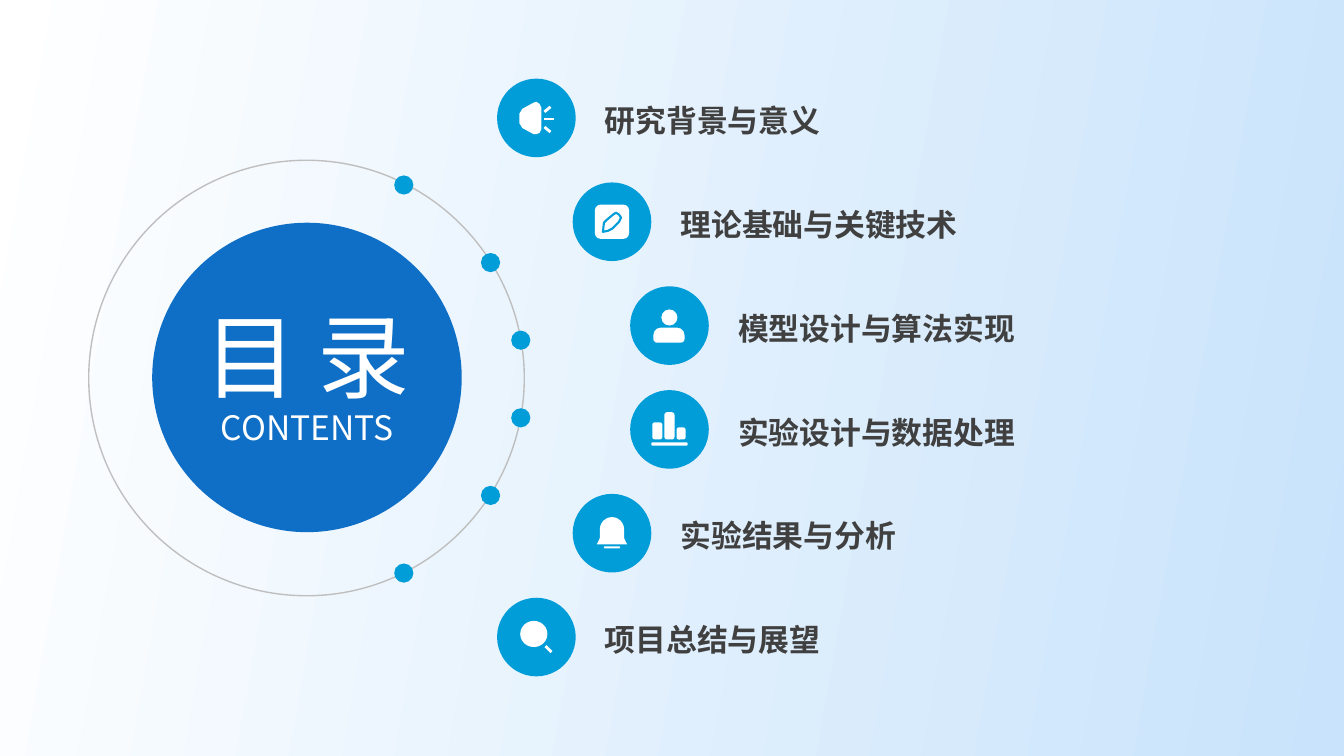
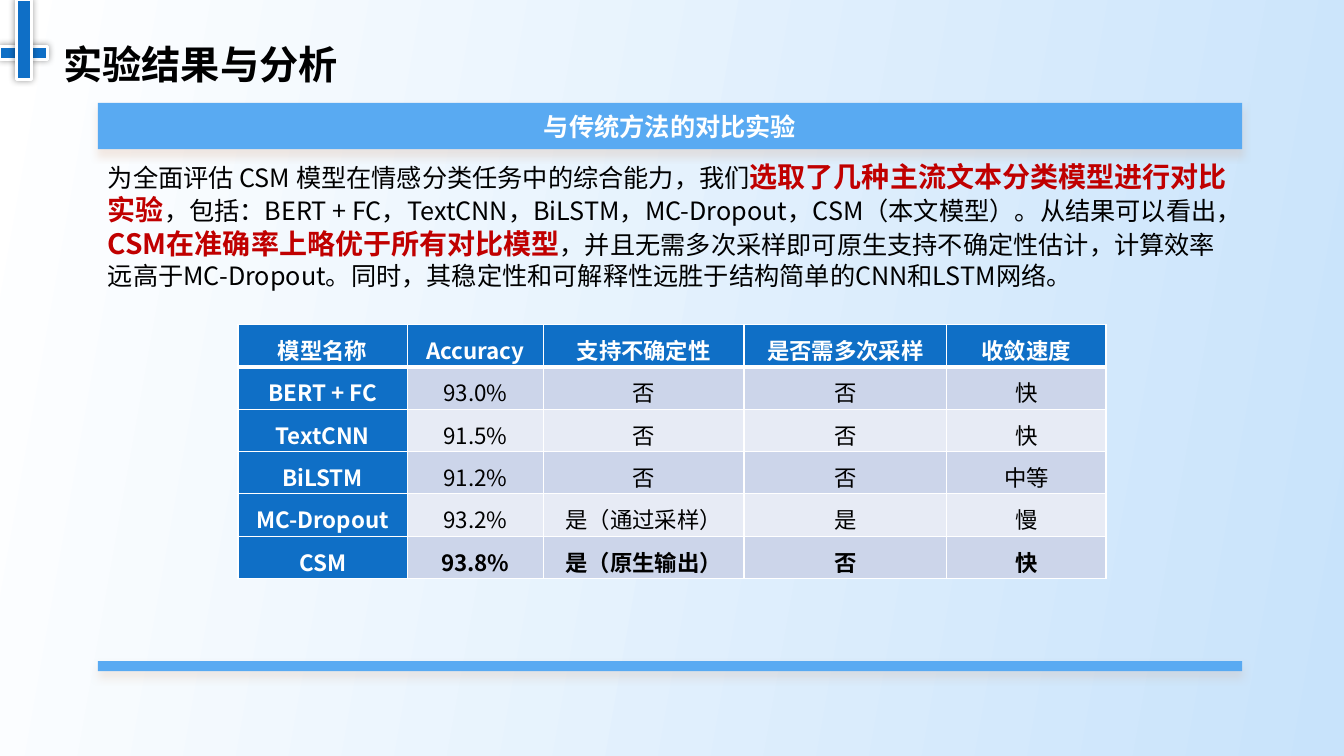
"""Build a contents slide and an experiment results slide."""
from lxml import etree
from pptx import Presentation
from pptx.dml.color import RGBColor
from pptx.enum.shapes import MSO_CONNECTOR, MSO_SHAPE as SHAPE
from pptx.enum.text import MSO_ANCHOR as ANCHOR, MSO_AUTO_SIZE, PP_ALIGN as ALIGN
from pptx.oxml.ns import qn
from pptx.util import Inches, Pt

FONT = "Noto Sans CJK SC"
COLORS = {
    "white": "FFFFFF", "black": "000000", "sky": "C8E3FB", "blue": "0F6FC6",
    "cyan": "009DD9", "band": "59AAF2", "ring": "BFBFBF", "label": "404040",
    "red": "C00000", "band shadow": "CD9673", "odd row": "CCD5EA", "even row": "E7EBF5",
}
STYLES = {
    "contents": {"size": Pt(66), "bold": False},
    "subtitle": {"size": Pt(24), "bold": False},
    "title": {"size": Pt(28), "bold": True},
    "topic": {"size": Pt(22), "bold": True},
    "banner": {"size": Pt(18), "bold": True},
    "body": {"size": Pt(18), "bold": False},
    "key": {"size": Pt(20), "bold": True},
    "cell": {"size": Pt(16), "bold": False},
    "strong cell": {"size": Pt(16), "bold": True},
}
NO_INSETS = {"margin_left": 0, "margin_top": 0, "margin_right": 0, "margin_bottom": 0}
CENTERED = {"alignment": ALIGN.CENTER}
BAND_SHADOW = ("band shadow", 20, 6, 4, 90)
CROSS_SHADOW = ("black", 40, 5, 0, 0)
BAND_LEFT, BAND_WIDTH = 0.97, 11.35
ICON_SIZE, DOT_SIZE = 0.78, 0.19

SUMMARY = [
    ("为全面评估 CSM 模型在情感分类任务中的综合能力，我们", "body", "black"),
    ("选取了几种主流文本分类模型进行对比实验", "key", "red"),
    ("，包括：BERT + FC，TextCNN，BiLSTM，MC-Dropout，CSM（本文模型）。从结果可以看出，",
     "body", "black"),
    ("CSM在准确率上略优于所有对比模型", "key", "red"),
    ("，并且无需多次采样即可原生支持不确定性估计，计算效率远高于MC-Dropout。"
     "同时，其稳定性和可解释性远胜于结构简单的CNN和LSTM网络。", "body", "black"),
]
RESULTS = [
    ("模型名称", "Accuracy", "支持不确定性", "是否需多次采样", "收敛速度"),
    ("BERT + FC", "93.0%", "否", "否", "快"),
    ("TextCNN", "91.5%", "否", "否", "快"),
    ("BiLSTM", "91.2%", "否", "否", "中等"),
    ("MC-Dropout", "93.2%", "是（通过采样）", "是", "慢"),
    ("CSM", "93.8%", "是（原生输出）", "否", "快"),
]
COLUMN_WIDTHS = (1.68, 1.35, 1.99, 2.01, 1.58)
ROW_HEIGHT = 0.42


def rgb(color):
    """Return the named colour."""
    return RGBColor.from_string(COLORS[color])


def apply(target, formats):
    """Set each attribute of the target from a dict."""
    for attribute, value in formats.items():
        setattr(target, attribute, value)


def place(shape, box):
    """Move and size a shape by a box in inches."""
    apply(shape, dict(zip(("left", "top", "width", "height"), map(Inches, box))))


def write(frame, runs, paragraph_format=None, frame_format=None):
    """Write one paragraph of (text, style, colour) runs into a frame."""
    apply(frame, {"word_wrap": True, **(frame_format or {})})
    paragraph = frame.paragraphs[0]
    apply(paragraph, paragraph_format or {})
    for text, style, color in runs:
        run = paragraph.add_run()
        run.text = text
        apply(run.font, {"name": FONT, **STYLES[style]})
        run.font.color.rgb = rgb(color)
        etree.SubElement(run._r.get_or_add_rPr(), qn("a:ea"), typeface=FONT)


def add_shadow(shape, color, alpha, blur, distance, angle):
    """Give a shape an outer shadow."""
    effects = shape._element.spPr.find(qn("a:effectLst"))
    shadow = etree.SubElement(
        effects, qn("a:outerShdw"), blurRad=str(Pt(blur)), dist=str(Pt(distance)),
        dir=str(angle * 60000), algn="ctr", rotWithShape="0")
    tint = etree.SubElement(shadow, qn("a:srgbClr"), val=COLORS[color])
    etree.SubElement(tint, qn("a:alpha"), val=str(alpha * 1000))


def paint(shape, fill, line, weight):
    """Set fill and line of a shape, without its default shadow."""
    shape.shadow.inherit = False
    for part, color in ((shape.fill, fill), (shape.line.fill, line)):
        if color:
            part.solid()
            part.fore_color.rgb = rgb(color)
        else:
            part.background()
    if line:
        shape.line.width = Pt(weight)


def add_block(slide, preset, box, fill="white", line=None, weight=1, shadow=None, adjust=()):
    """Add a preset shape."""
    block = slide.shapes.add_shape(preset, *map(Inches, box))
    paint(block, fill, line, weight)
    for index, value in enumerate(adjust):
        block.adjustments[index] = value
    if shadow:
        add_shadow(block, *shadow)
    return block


def add_outline(slide, x, y, points, line=None, weight=1):
    """Add a white closed polygon with points relative to x and y."""
    corners = [(Inches(x + dx), Inches(y + dy)) for dx, dy in points]
    builder = slide.shapes.build_freeform(*corners[0])
    builder.add_line_segments(corners[1:], close=True)
    paint(builder.convert_to_shape(), "white", line, weight)


def add_stroke(slide, x, y, start, end):
    """Add a short white line relative to x and y."""
    ends = (x + start[0], y + start[1], x + end[0], y + end[1])
    stroke = slide.shapes.add_connector(MSO_CONNECTOR.STRAIGHT, *map(Inches, ends))
    stroke.line.color.rgb = rgb("white")
    stroke.line.width = Pt(2)
    etree.SubElement(stroke._element.spPr, qn("a:effectLst"))


def add_parts(slide, x, y, parts):
    """Add white icon parts given as preset, relative box and adjustments."""
    for preset, (dx, dy, width, height), adjust in parts:
        add_block(slide, preset, (x + dx, y + dy, width, height), adjust=adjust)


def add_text(slide, box, runs, paragraph_format, frame_format):
    """Add a text box without insets."""
    frame = slide.shapes.add_textbox(*map(Inches, box)).text_frame
    write(frame, runs, paragraph_format, {**NO_INSETS, **frame_format})


def add_title(slide, box, run, paragraph_format):
    """Place and write the title in front of what is already drawn."""
    title = slide.shapes.title
    place(title, box)
    title._element.getparent().append(title._element)
    write(title.text_frame, [run], paragraph_format,
          {**NO_INSETS, "vertical_anchor": ANCHOR.TOP, "auto_size": MSO_AUTO_SIZE.NONE})


def draw_megaphone(slide, x, y):
    """Draw a megaphone with three sound lines."""
    add_outline(slide, x, y, [
        (0.22, 0.35), (0.25, 0.3), (0.36, 0.24), (0.39, 0.23), (0.42, 0.25), (0.44, 0.29),
        (0.44, 0.5), (0.42, 0.54), (0.39, 0.55), (0.36, 0.55), (0.25, 0.49), (0.22, 0.44)])
    for start, end in (((0.47, 0.33), (0.53, 0.28)), ((0.47, 0.4), (0.56, 0.4)),
                       ((0.47, 0.48), (0.53, 0.53))):
        add_stroke(slide, x, y, start, end)


def draw_note(slide, x, y):
    """Draw a note with a pen."""
    add_parts(slide, x, y, [(SHAPE.ROUNDED_RECTANGLE, (0.22, 0.22, 0.34, 0.34), [0.17])])
    add_outline(slide, x, y, [
        (0.3, 0.49), (0.31, 0.4), (0.34, 0.37), (0.4, 0.32), (0.43, 0.3), (0.46, 0.32),
        (0.48, 0.35), (0.46, 0.39), (0.39, 0.46), (0.35, 0.48)], "cyan", 1.5)


def draw_person(slide, x, y):
    """Draw a head and shoulders."""
    add_parts(slide, x, y, [
        (SHAPE.OVAL, (0.31, 0.23, 0.16, 0.16), []),
        (SHAPE.ROUND_2_SAME_RECTANGLE, (0.23, 0.41, 0.31, 0.15), [0.5, 0.25])])


def draw_bars(slide, x, y):
    """Draw three bars on a base line."""
    boxes = ((0.21, 0.52, 0.36, 0.03), (0.22, 0.32, 0.1, 0.17),
             (0.34, 0.22, 0.1, 0.27), (0.46, 0.37, 0.09, 0.12))
    add_parts(slide, x, y, [(SHAPE.ROUNDED_RECTANGLE, box, [0.25]) for box in boxes])


def draw_bell(slide, x, y):
    """Draw a bell."""
    add_parts(slide, x, y, [
        (SHAPE.ROUND_2_SAME_RECTANGLE, (0.27, 0.23, 0.24, 0.25), [0.5, 0]),
        (SHAPE.TRAPEZOID, (0.24, 0.44, 0.3, 0.06), [0.5]),
        (SHAPE.ROUNDED_RECTANGLE, (0.31, 0.52, 0.16, 0.02), [0.5])])


def draw_magnifier(slide, x, y):
    """Draw a magnifier."""
    add_parts(slide, x, y, [(SHAPE.OVAL, (0.23, 0.23, 0.27, 0.26), [])])
    add_stroke(slide, x, y, (0.48, 0.48), (0.54, 0.54))


TOPICS = [
    ("研究背景与意义", draw_megaphone, 4.93, 3.91),
    ("理论基础与关键技术", draw_note, 5.68, 4.77),
    ("模型设计与算法实现", draw_person, 6.25, 5.07),
    ("实验设计与数据处理", draw_bars, 6.25, 5.07),
    ("实验结果与分析", draw_bell, 5.68, 4.77),
    ("项目总结与展望", draw_magnifier, 4.93, 3.91),
]


def add_topic(slide, index, topic, draw_icon, icon_x, dot_x):
    """Add one topic with its icon, label and dot on the ring."""
    icon_y = 0.78 + 1.03 * index
    add_block(slide, SHAPE.OVAL, (icon_x, icon_y, ICON_SIZE, ICON_SIZE), "cyan")
    draw_icon(slide, icon_x, icon_y)
    add_text(slide, (icon_x + 1.07, icon_y - 0.04, 5.12, 0.87), [(topic, "topic", "label")],
             {"line_spacing": 1.1}, {"vertical_anchor": ANCHOR.MIDDLE})
    add_block(slide, SHAPE.OVAL, (dot_x, 1.74 + 0.77 * index, DOT_SIZE, DOT_SIZE), "cyan")


def set_border(cell, side, weight):
    """Draw one white border of a cell."""
    border = etree.SubElement(cell._tc.get_or_add_tcPr(), qn(f"a:ln{side}"), w=str(Pt(weight)))
    fill = etree.SubElement(border, qn("a:solidFill"))
    etree.SubElement(fill, qn("a:srgbClr"), val=COLORS["white"])


def format_cell(cell, text, row, column):
    """Write and colour one cell of the results table."""
    heading = row == 0 or column == 0
    strong = heading or row == len(RESULTS) - 1
    for side in "LRTB":
        set_border(cell, side, 3 if (row, side) in ((0, "B"), (1, "T")) else 1)
    cell.fill.solid()
    cell.fill.fore_color.rgb = rgb("blue" if heading else "odd row" if row % 2 else "even row")
    apply(cell, {"margin_left": Inches(0.07), "margin_right": Inches(0.07), "margin_top": 0,
                 "margin_bottom": 0, "vertical_anchor": ANCHOR.MIDDLE})
    run = (text, "strong cell" if strong else "cell", "white" if heading else "black")
    write(cell.text_frame, [run], {**CENTERED, "line_spacing": 1.25})


def add_results(slide, left, top):
    """Add the table that compares the models."""
    size = (sum(COLUMN_WIDTHS), ROW_HEIGHT * len(RESULTS))
    table = slide.shapes.add_table(
        len(RESULTS), len(COLUMN_WIDTHS), *map(Inches, (left, top, *size))).table
    for column, width in zip(table.columns, COLUMN_WIDTHS):
        column.width = Inches(width)
    for row, texts in enumerate(RESULTS):
        for column, text in enumerate(texts):
            format_cell(table.cell(row, column), text, row, column)


def add_summary(slide):
    """Fill the body placeholder with the unbulleted summary."""
    body = slide.placeholders[1]
    place(body, (BAND_LEFT, 1.53, BAND_WIDTH, 1.41))
    properties = body.text_frame.paragraphs[0]._p.get_or_add_pPr()
    properties.set("marL", "0")
    properties.set("indent", "0")
    etree.SubElement(properties, qn("a:buNone"))
    write(body.text_frame, SUMMARY, {"space_before": Pt(0)}, {"auto_size": MSO_AUTO_SIZE.NONE})


def set_background(master):
    """Give all slides the white to sky gradient."""
    fill = master.background.fill
    fill.gradient()
    fill.gradient_angle = 350
    for stop, color in zip(fill.gradient_stops, ("white", "sky")):
        stop.color.rgb = rgb(color)


def build_contents(prs):
    """Build the contents slide."""
    slide = prs.slides.add_slide(prs.slide_layouts[5])
    add_block(slide, SHAPE.OVAL, (0.88, 1.59, 4.32, 4.32), None, "ring")
    add_block(slide, SHAPE.OVAL, (1.51, 2.21, 3.07, 3.07), "blue")
    add_title(slide, (1.91, 2.97, 2.27, 1.01), ("目 录", "contents", "white"), CENTERED)
    add_text(slide, (1.91, 4.04, 2.27, 0.44), [("CONTENTS", "subtitle", "white")], CENTERED, {})
    for index, topic in enumerate(TOPICS):
        add_topic(slide, index, *topic)


def build_results(prs):
    """Build the experiment results slide."""
    slide = prs.slides.add_slide(prs.slide_layouts[1])
    for bar in ((0, 0.46, 0.47, 0.13), (0.16, 0, 0.15, 0.79)):
        add_block(slide, SHAPE.RECTANGLE, bar, "blue", "white", 2, CROSS_SHADOW)
    add_title(slide, (0.63, 0.26, 11.35, 0.59), ("实验结果与分析", "title", "black"),
              {"alignment": ALIGN.LEFT, "line_spacing": 1.3})
    banner, _ = [
        add_block(slide, SHAPE.RECTANGLE, (BAND_LEFT, top, BAND_WIDTH, height), "band",
                  shadow=BAND_SHADOW) for top, height in ((1.02, 0.46), (6.56, 0.1))]
    write(banner.text_frame, [("与传统方法的对比实验", "banner", "white")], CENTERED,
          {"vertical_anchor": ANCHOR.MIDDLE})
    add_summary(slide)
    add_results(slide, 2.36, 3.22)


def main():
    """Build and save the presentation."""
    prs = Presentation()
    prs.slide_width, prs.slide_height = Inches(13.33), Inches(7.5)
    set_background(prs.slide_master)
    build_contents(prs)
    build_results(prs)
    prs.save("out.pptx")


if __name__ == "__main__":
    main()
